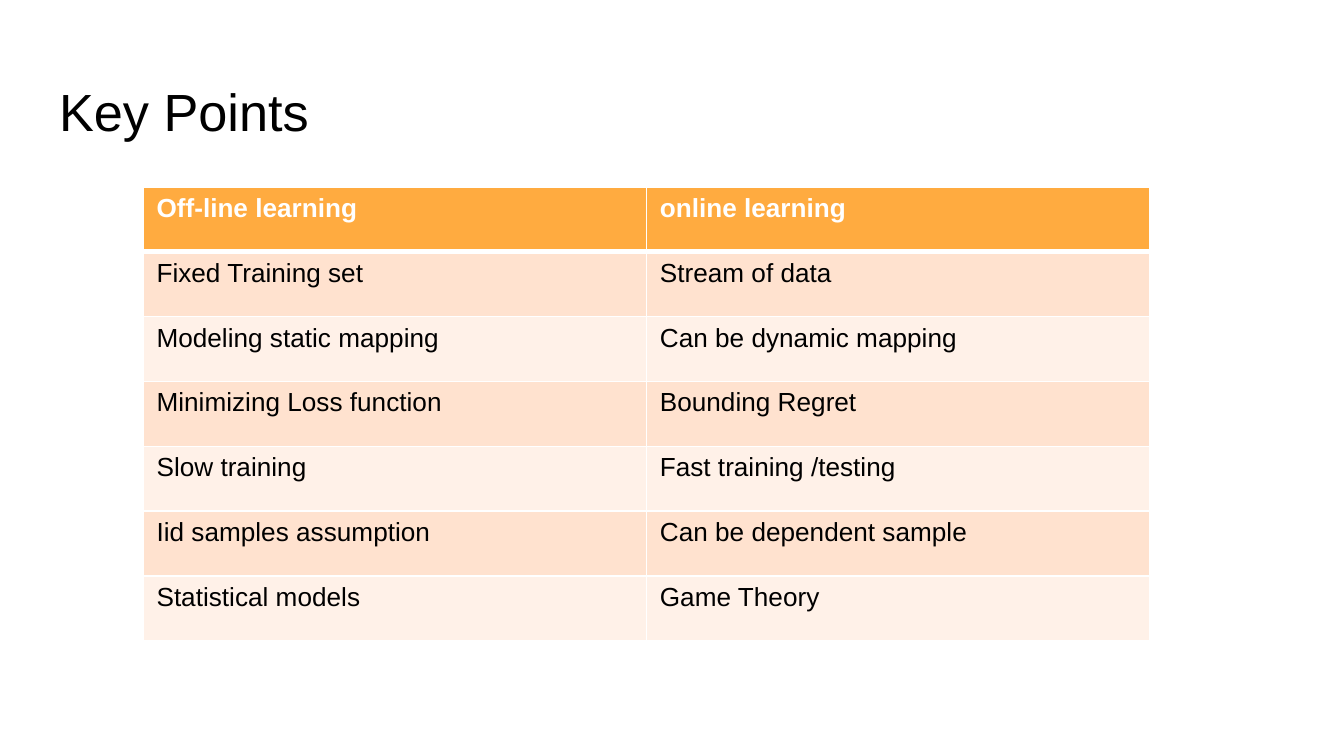
from lxml import etree
from pptx import Presentation
from pptx.dml.color import RGBColor
from pptx.enum.text import MSO_ANCHOR, MSO_AUTO_SIZE, PP_ALIGN
from pptx.oxml.ns import qn
from pptx.util import Pt

PX = 4572
TOP = MSO_ANCHOR.TOP
NO_FIT = MSO_AUTO_SIZE.NONE
LEFT = PP_ALIGN.LEFT

BLACK = RGBColor(0x00, 0x00, 0x00)
WHITE = RGBColor(0xFF, 0xFF, 0xFF)
ORANGE = RGBColor(0xFF, 0xAB, 0x40)
PEACH = RGBColor(0xFF, 0xE2, 0xCF)
CREAM = RGBColor(0xFF, 0xF1, 0xE8)

TITLE = {"name": "Arial", "size": Pt(28), "bold": False}
HEAD = {"name": "Arial", "size": Pt(14), "bold": True}
BODY = {"name": "Arial", "size": Pt(14), "bold": False}

ROWS = [
    ("Off-line learning", "online learning"),
    ("Fixed Training set", "Stream of data"),
    ("Modeling static mapping", "Can be dynamic mapping"),
    ("Minimizing Loss function", "Bounding Regret"),
    ("Slow training", "Fast training /testing"),
    ("Iid samples assumption", "Can be dependent sample"),
    ("Statistical models", "Game Theory"),
]


def px(*nums):
    return [num * PX for num in nums]


def apply(item, form):
    for key, value in form.items():
        setattr(item, key, value)


def write(frame, text, form, color):
    frame.text = text
    para = frame.paragraphs[0]
    para.alignment = LEFT
    font = para.runs[0].font
    apply(font, form)
    font.color.rgb = color


def add_title(slide, text):
    title = slide.shapes.title
    left, top, width, height, inset = px(68, 98, 1864, 126, 20)
    apply(title, {"left": left, "top": top, "width": width, "height": height})
    frame = title.text_frame
    apply(frame, {
        "margin_left": inset, "margin_right": inset,
        "margin_top": inset, "margin_bottom": inset,
        "vertical_anchor": TOP, "word_wrap": True, "auto_size": NO_FIT,
    })
    write(frame, text, TITLE, BLACK)


def add_edge(cell, side, width):
    props = cell._tc.get_or_add_tcPr()
    line = etree.SubElement(props, qn(f"a:ln{side}"), w=str(Pt(width)))
    fill = etree.SubElement(line, qn("a:solidFill"))
    etree.SubElement(fill, qn("a:srgbClr"), val=str(WHITE))


def style_cell(cell, text, row):
    edges = {"L": 1, "R": 1, "T": 3 if row == 1 else 1, "B": 3 if row == 0 else 1}
    for side, width in edges.items():
        add_edge(cell, side, width)
    cell.fill.solid()
    if row == 0:
        cell.fill.fore_color.rgb = ORANGE
        write(cell.text_frame, text, HEAD, WHITE)
    else:
        cell.fill.fore_color.rgb = PEACH if row % 2 else CREAM
        write(cell.text_frame, text, BODY, BLACK)
    cell.vertical_anchor = TOP


def add_grid(slide, rows):
    box = px(213, 278, 1498, 676)
    table = slide.shapes.add_table(len(rows), len(rows[0]), *box).table
    for row, texts in enumerate(rows):
        for col, text in enumerate(texts):
            style_cell(table.cell(row, col), text, row)


def main():
    deck = Presentation()
    deck.slide_width, deck.slide_height = px(2000, 1125)
    slide = deck.slides.add_slide(deck.slide_layouts[5])
    add_title(slide, "Key Points")
    add_grid(slide, ROWS)
    deck.save("out.pptx")


if __name__ == "__main__":
    main()
